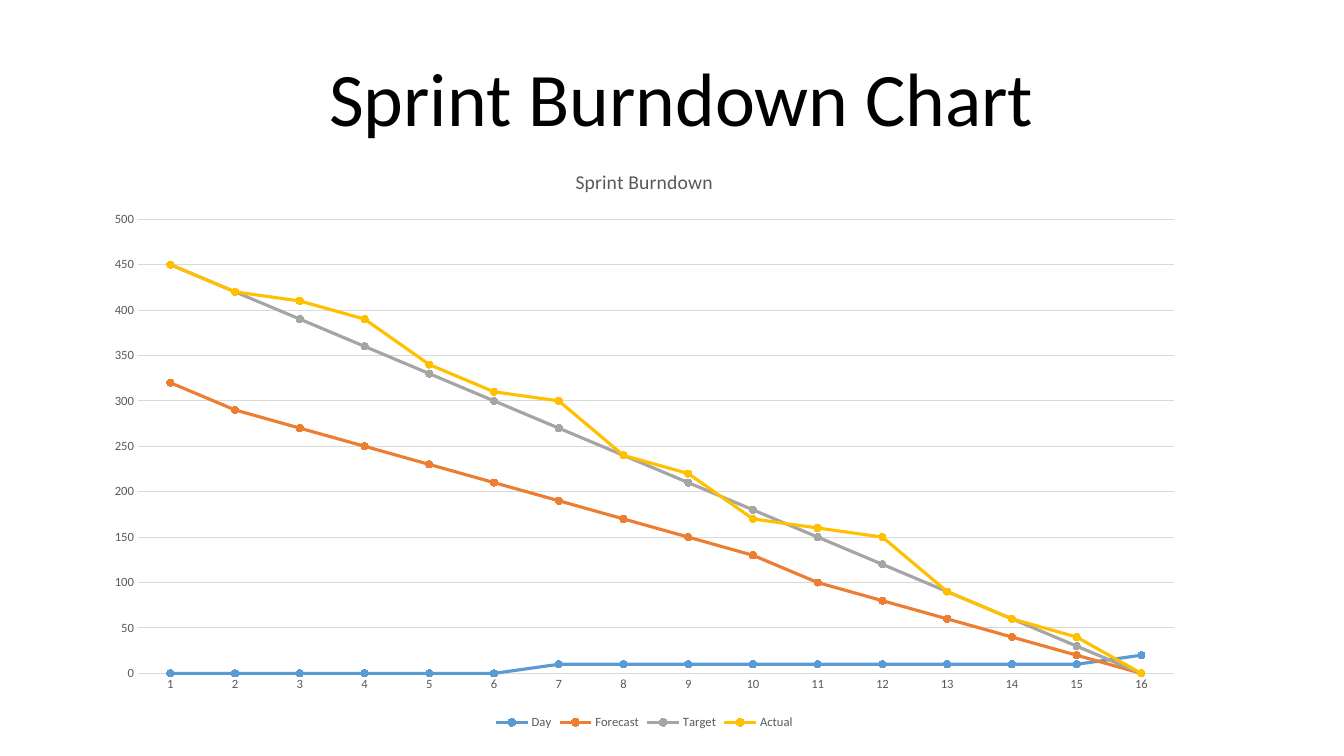
"""Build the sprint burndown slide with its line chart."""
from pptx import Presentation
from pptx.chart.data import CategoryChartData
from pptx.dml.color import RGBColor
from pptx.enum.chart import (XL_CHART_TYPE, XL_LEGEND_POSITION,
                             XL_MARKER_STYLE, XL_TICK_MARK)
from pptx.enum.text import MSO_ANCHOR, PP_ALIGN
from pptx.util import Inches, Pt

HEADING = "Sprint Burndown Chart"
CHART_TITLE = "Sprint Burndown"
SPRINT_DAYS = range(16)
BURNDOWN = [
    ("Day", "5B9BD5", [0] * 6 + [10] * 9 + [20]),
    ("Forecast", "ED7D31", [320, 290, 270, 250, 230, 210, 190, 170,
                            150, 130, 100, 80, 60, 40, 20, 0]),
    ("Target", "A5A5A5", [450 - 30 * day for day in SPRINT_DAYS]),
    ("Actual", "FFC000", [450, 420, 410, 390, 340, 310, 300, 240,
                          220, 170, 160, 150, 90, 60, 40, 0]),
]
BLACK, LABEL_GREY, GRID_GREY = "000000", "595959", "D9D9D9"


def set_font(font, size, color):
    font.name = "Calibri"
    font.size = Pt(size)
    font.bold = False
    font.color.rgb = RGBColor.from_string(color)


def set_line(line, width, color):
    line.width = Pt(width)
    line.color.rgb = RGBColor.from_string(color)


deck = Presentation()
deck.slide_width, deck.slide_height = Inches(13.33), Inches(7.5)
slide = deck.slides.add_slide(deck.slide_layouts[5])

heading = slide.shapes.title
heading.left, heading.top = Inches(3.13), Inches(0.46)
heading.width, heading.height = Inches(7.26), Inches(1.01)
heading_frame = heading.text_frame
heading_frame.text = HEADING
heading_frame.word_wrap = False
heading_frame.vertical_anchor = MSO_ANCHOR.TOP
heading_frame.paragraphs[0].alignment = PP_ALIGN.CENTER
set_font(heading_frame.paragraphs[0].font, 54, BLACK)

burndown_data = CategoryChartData()
burndown_data.categories = [str(day + 1) for day in SPRINT_DAYS]
for name, _, hours in BURNDOWN:
    burndown_data.add_series(name, hours)
chart = slide.shapes.add_chart(
    XL_CHART_TYPE.LINE_MARKERS, Inches(0.92), Inches(1.46),
    Inches(10.94), Inches(5.82), burndown_data).chart
set_font(chart.font, 10, BLACK)

chart.has_title = True
chart.chart_title.include_in_layout = False
chart.chart_title.text_frame.text = CHART_TITLE
set_font(chart.chart_title.text_frame.paragraphs[0].font, 14, LABEL_GREY)

chart.has_legend = True
chart.legend.position = XL_LEGEND_POSITION.BOTTOM
chart.legend.include_in_layout = False
set_font(chart.legend.font, 9, LABEL_GREY)

day_axis, hours_axis = chart.category_axis, chart.value_axis
for axis in (day_axis, hours_axis):
    axis.major_tick_mark = axis.minor_tick_mark = XL_TICK_MARK.NONE
    set_font(axis.tick_labels.font, 9, LABEL_GREY)
set_line(day_axis.format.line, 0.75, GRID_GREY)
hours_axis.minimum_scale, hours_axis.maximum_scale = 0, 500
hours_axis.major_unit = 50
hours_axis.format.line.fill.background()
hours_axis.has_major_gridlines = True
set_line(hours_axis.major_gridlines.format.line, 0.75, GRID_GREY)

chart.plots[0].vary_by_categories = False
for series, (_, color, _) in zip(chart.plots[0].series, BURNDOWN):
    series.smooth = False
    set_line(series.format.line, 2.25, color)
    series.marker.style = XL_MARKER_STYLE.CIRCLE
    series.marker.size = 5
    series.marker.format.fill.solid()
    series.marker.format.fill.fore_color.rgb = RGBColor.from_string(color)
    set_line(series.marker.format.line, 0.75, color)

deck.save("out.pptx")
